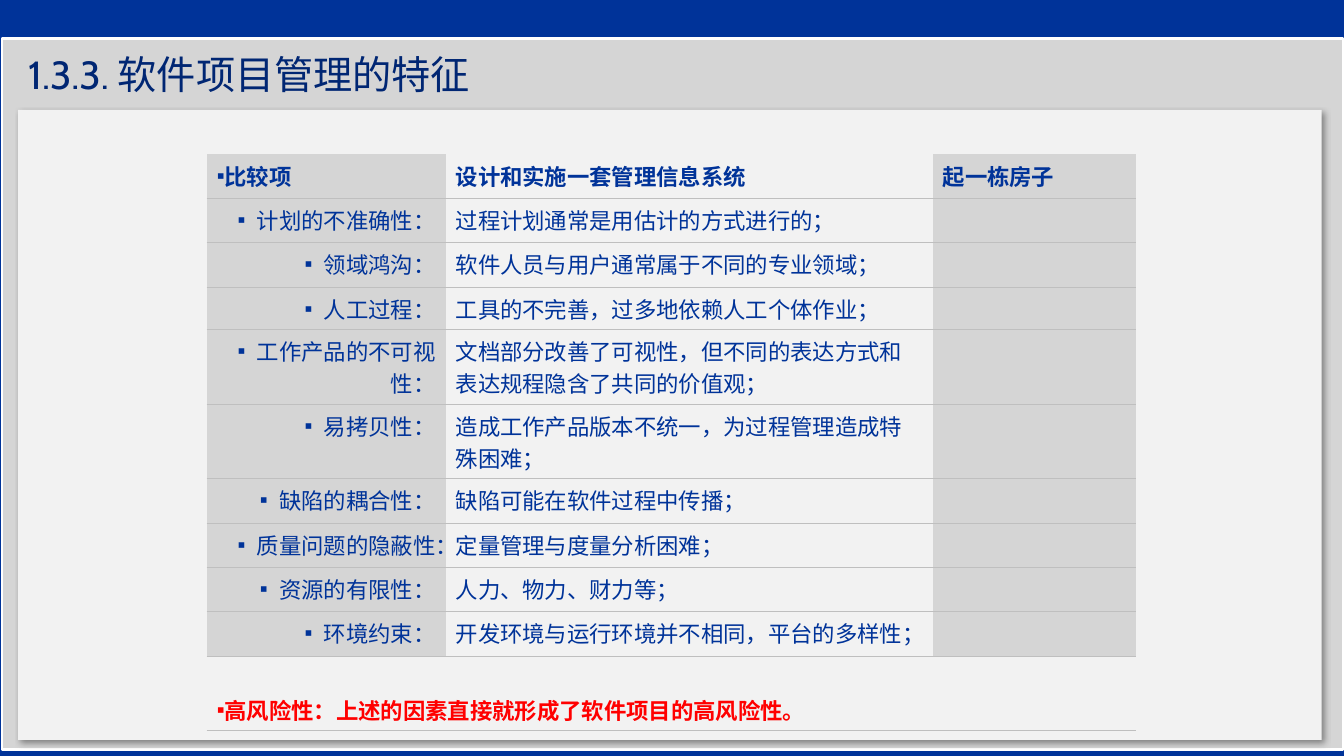
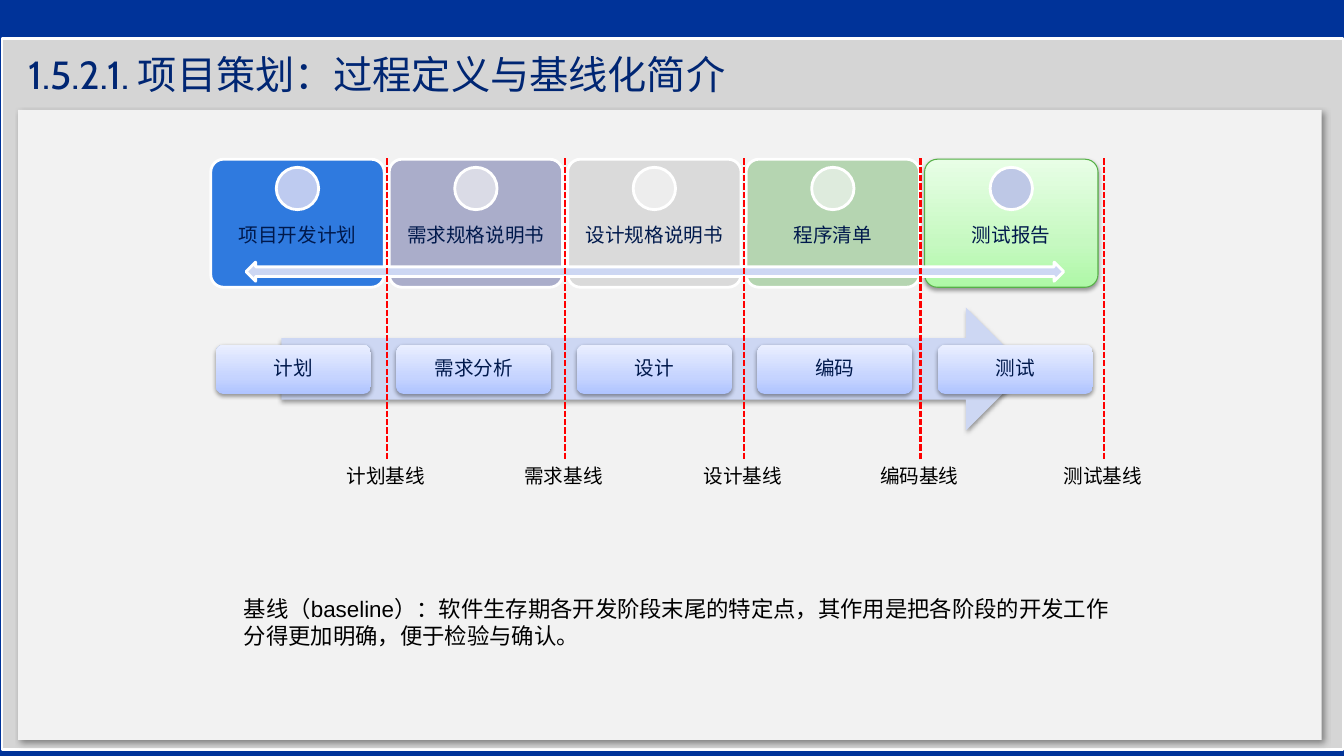
from dataclasses import dataclass
from typing import NamedTuple

from lxml.etree import SubElement
from pptx import Presentation
from pptx.dml.color import RGBColor
from pptx.enum.dml import MSO_LINE
from pptx.enum.shapes import MSO_CONNECTOR, MSO_SHAPE as Preset
from pptx.enum.text import MSO_ANCHOR as Anchor, MSO_AUTO_SIZE as AutoSize, PP_ALIGN as Align
from pptx.oxml.ns import qn
from pptx.util import Inches, Pt

BLUE, NAVY, INK = "003399", "002673", "00194C"
GREY, PANEL, RULE = "D5D5D5", "F2F2F2", "BFBFBF"
WHITE, BLACK, RED, PALE_BLUE = "FFFFFF", "000000", "FF0000", "CDD7F3"
BLUE_BLEND = ("AFC4FF", "C6D4FF", "EAEFFF")
GREEN_BLEND = ("AEF8A6", "C6F9C1", "E8FEE6")
BLEND_STOPS = (0, 35, 100)
NO_STYLE = "{2D5ABB26-0587-4C30-8999-92F81FD0307C}"

COLUMNS = (2.37, 4.83, 2.02)
ROW_HEIGHTS = (0.44, 0.44, 0.44, 0.42, 0.74, 0.74, 0.44, 0.44, 0.44, 0.44, 0.74)
HEADINGS = ("比较项", "设计和实施一套管理信息系统", "起一栋房子")
TRAITS = (
    ("计划的不准确性：", "过程计划通常是用估计的方式进行的；"),
    ("领域鸿沟：", "软件人员与用户通常属于不同的专业领域；"),
    ("人工过程：", "工具的不完善，过多地依赖人工个体作业；"),
    ("工作产品的不可视性：", "文档部分改善了可视性，但不同的表达方式和表达规程隐含了共同的价值观；"),
    ("易拷贝性：", "造成工作产品版本不统一，为过程管理造成特殊困难；"),
    ("缺陷的耦合性：", "缺陷可能在软件过程中传播；"),
    ("质量问题的隐蔽性：", "定量管理与度量分析困难；"),
    ("资源的有限性：", "人力、物力、财力等；"),
    ("环境约束：", "开发环境与运行环境并不相同，平台的多样性；"),
)
RISK = "高风险性：上述的因素直接就形成了软件项目的高风险性。"
DEFINITION = ("基线（baseline）：软件生存期各开发阶段末尾的特定点，"
              "其作用是把各阶段的开发工作分得更加明确，便于检验与确认。")


class Box(NamedTuple):
    """Left, top, width and height in inches."""
    left: float
    top: float
    width: float
    height: float

    def lengths(self) -> list:
        return [Inches(value) for value in self]


class Shadow(NamedTuple):
    """Outer shadow: opacity in percent, blur and distance in points, angle in degrees."""
    opacity: int
    blur: float
    distance: float
    angle: int


PANEL_SHADOW = Shadow(40, 4, 3, 45)
SOFT_SHADOW = Shadow(38, 3.1, 1.6, 90)


@dataclass(frozen=True)
class Look:
    """Fill, outline and shadow of a shape; a tuple fill is a gradient."""
    fill: str | tuple
    line: str | None = None
    width: float = 2
    shadow: Shadow | None = None


@dataclass(frozen=True)
class Stage:
    """One development stage with its document card and its baseline."""
    phase: str
    document: str
    card: Look
    dot: str
    baseline: str
    baseline_x: float


STAGES = (
    Stage("计划", "项目开发计划", Look("2F7ADF", WHITE), "BECBF0", "计划基线", 3.84),
    Stage("需求分析", "需求规格说明书", Look("AAADCA", WHITE), "DADBE6", "需求基线", 5.6),
    Stage("设计", "设计规格说明书", Look("DADADA", WHITE), "EDEDED", "设计基线", 7.38),
    Stage("编码", "程序清单", Look("B5D5B1", WHITE), "DEEBDD", "编码基线", 9.13),
    Stage("测试", "测试报告", Look(GREEN_BLEND, "56B047", 0.75, SOFT_SHADOW), "BEC8E6",
          "测试基线", 10.95),
)


def rgb(value: str) -> RGBColor:
    """Turn a hex string into a colour."""
    return RGBColor.from_string(value)


def add_element(parent, tag: str, **attributes):
    """Append a DrawingML child element."""
    return SubElement(parent, qn(tag), {key: str(value) for key, value in attributes.items()})


def blend(shape, colours: tuple) -> None:
    """Fill a shape with a gradient that runs from bottom to top."""
    shape.fill.gradient()
    gradient = shape.element.spPr.find(qn("a:gradFill"))
    for child in list(gradient):
        gradient.remove(child)
    stops = add_element(gradient, "a:gsLst")
    for position, colour in zip(BLEND_STOPS, colours):
        add_element(add_element(stops, "a:gs", pos=position * 1000), "a:srgbClr", val=colour)
    add_element(gradient, "a:lin", ang=270 * 60000, scaled=0)


def add_block(slide, preset: Preset, box: Box, look: Look):
    """Add a preset shape with the given look."""
    shape = slide.shapes.add_shape(preset, *box.lengths())
    if isinstance(look.fill, tuple):
        blend(shape, look.fill)
    else:
        shape.fill.solid()
        shape.fill.fore_color.rgb = rgb(look.fill)
    if look.line:
        shape.line.color.rgb = rgb(look.line)
        shape.line.width = Pt(look.width)
    else:
        shape.line.fill.background()
    shape.shadow.inherit = False
    if look.shadow:
        effects = shape.element.spPr.find(qn("a:effectLst"))
        outer = add_element(effects, "a:outerShdw", blurRad=Pt(look.shadow.blur),
                            dist=Pt(look.shadow.distance), dir=look.shadow.angle * 60000,
                            algn="tl", rotWithShape=0)
        colour = add_element(outer, "a:srgbClr", val=BLACK)
        add_element(colour, "a:alpha", val=look.shadow.opacity * 1000)
    return shape


def format_runs(paragraph, size: float, colour: str, bold: bool = False,
                name: str = "Arial") -> None:
    """Format every run of a paragraph."""
    for run in paragraph.runs:
        run.font.name, run.font.size, run.font.bold = name, Pt(size), bold
        run.font.color.rgb = rgb(colour)


def write_centred(shape, text: str, top: float = 0.06, bottom: float = 0.06) -> None:
    """Write a centred label into a shape."""
    frame = shape.text_frame
    frame.text, frame.word_wrap, frame.vertical_anchor = text, True, Anchor.MIDDLE
    frame.margin_left = frame.margin_right = Inches(0.06)
    frame.margin_top, frame.margin_bottom = Inches(top), Inches(bottom)
    paragraph = frame.paragraphs[0]
    paragraph.alignment, paragraph.line_spacing = Align.CENTER, 0.9
    format_runs(paragraph, 14, INK)


def add_text(slide, box: Box, text: str, size: float, wrap: bool) -> None:
    """Add a plain black text box."""
    frame = slide.shapes.add_textbox(*box.lengths()).text_frame
    frame.text, frame.word_wrap = text, wrap
    format_runs(frame.paragraphs[0], size, BLACK)


def prepare_layout(presentation):
    """Give the title-only layout its background and panels."""
    layout = presentation.slide_layouts.get_by_name("Title Only")
    layout.background.fill.solid()
    layout.background.fill.fore_color.rgb = rgb(BLUE)
    title, *footers = layout.placeholders
    for footer in footers:
        footer.element.getparent().remove(footer.element)
    return layout, title


def move_panels(slide, layout_title) -> None:
    """Draw the frame and content panel and place them on the layout."""
    panels = (
        (Box(0.02, 0.38, 13.3, 7.06), Look(GREY, WHITE)),
        (Box(0.18, 1.09, 12.93, 6.25), Look(PANEL, shadow=PANEL_SHADOW)),
    )
    for box, look in panels:
        panel = add_block(slide, Preset.RECTANGLE, box, look)
        layout_title.element.addprevious(panel.element)


def add_titled_slide(presentation, layout, text: str):
    """Add a slide with the shared title style."""
    slide = presentation.slides.add_slide(layout)
    title = slide.shapes.title
    title.left, title.top, title.width, title.height = Box(0.18, 0.47, 12.92, 0.53).lengths()
    frame = title.text_frame
    frame.text, frame.word_wrap = text, True
    frame.auto_size, frame.vertical_anchor = AutoSize.NONE, Anchor.MIDDLE
    frame.paragraphs[0].alignment = Align.LEFT
    format_runs(frame.paragraphs[0], 28, NAVY, name="Cabin")
    return slide


def add_bullet(paragraph, indent: float) -> None:
    """Give a paragraph a square bullet with a hanging indent."""
    properties = paragraph._p.get_or_add_pPr()
    properties.set("marL", str(Inches(indent)))
    properties.set("indent", str(-Inches(indent)))
    add_element(properties, "a:buFont", typeface="Arial")
    add_element(properties, "a:buChar", char="▪")


def style_cell(cell, fill: str | None) -> None:
    """Set a cell's bottom rule and its fill."""
    properties = cell._tc.get_or_add_tcPr()
    rule = add_element(properties, "a:lnB", w=Pt(1))
    add_element(add_element(rule, "a:solidFill"), "a:srgbClr", val=RULE)
    if fill:
        cell.fill.solid()
        cell.fill.fore_color.rgb = rgb(fill)
    else:
        cell.fill.background()


def add_comparison(slide) -> None:
    """Add the table of project traits."""
    box = Box(2.05, 1.53, sum(COLUMNS), sum(ROW_HEIGHTS))
    frame = slide.shapes.add_table(len(ROW_HEIGHTS), len(COLUMNS), *box.lengths())
    next(frame.element.iter(qn("a:tableStyleId"))).text = NO_STYLE
    table = frame.table
    table.first_row = table.horz_banding = False
    for column, width in zip(table.columns, COLUMNS):
        column.width = Inches(width)
    rows = (HEADINGS, *((*trait, "") for trait in TRAITS), (RISK, "", ""))
    last = len(rows) - 1
    for row_index, texts in enumerate(rows):
        table.rows[row_index].height = Inches(ROW_HEIGHTS[row_index])
        is_trait = 0 < row_index < last
        for column_index, text in enumerate(texts):
            cell = table.cell(row_index, column_index)
            style_cell(cell, GREY if row_index < last and column_index != 1 else None)
            cell.text = text
            paragraph = cell.text_frame.paragraphs[0]
            if text and column_index == 0:
                add_bullet(paragraph, 0.19 if is_trait else 0)
                paragraph.alignment = Align.RIGHT if is_trait else Align.LEFT
            paragraph.font.size = Pt(16)
            format_runs(paragraph, 16, RED if row_index == last else BLUE, not is_trait)
    risk_cell = table.cell(last, 0)
    risk_cell.merge(table.cell(last, len(COLUMNS) - 1))
    risk_cell.vertical_anchor = Anchor.BOTTOM


def add_baseline(slide, stage: Stage) -> None:
    """Add a dashed baseline and its label."""
    x = Inches(stage.baseline_x)
    line = slide.shapes.add_connector(MSO_CONNECTOR.STRAIGHT, x, Inches(1.57), x, Inches(4.55))
    line.line.color.rgb = rgb(RED)
    line.line.width, line.line.dash_style = Pt(1.5), MSO_LINE.SQUARE_DOT
    add_element(line.element.spPr, "a:effectLst")
    add_text(slide, Box(stage.baseline_x - 0.5, 4.55, 0.99, 0.34), stage.baseline, 14, False)


def add_stages(slide) -> None:
    """Add the phases, document cards and baselines."""
    add_block(slide, Preset.RIGHT_ARROW, Box(2.79, 3.05, 7.4, 1.22),
              Look(PALE_BLUE, shadow=SOFT_SHADOW))
    for index, stage in enumerate(STAGES):
        phase = add_block(slide, Preset.ROUNDED_RECTANGLE,
                          Box(2.14 + 1.79 * index, 3.42, 1.54, 0.49),
                          Look(BLUE_BLEND, shadow=SOFT_SHADOW))
        write_centred(phase, stage.phase)
        left = 2.09 + 1.77 * index
        card = add_block(slide, Preset.ROUNDED_RECTANGLE, Box(left, 1.58, 1.72, 1.27), stage.card)
        card.adjustments[0] = 0.1
        write_centred(card, stage.document, 0.51, 0.25)
        add_block(slide, Preset.OVAL, Box(left + 0.65, 1.66, 0.42, 0.42), Look(stage.dot, WHITE))
    add_block(slide, Preset.LEFT_RIGHT_ARROW, Box(2.44, 2.6, 8.11, 0.19), Look(PALE_BLUE, WHITE))
    add_text(slide, Box(2.32, 5.86, 8.85, 0.64), DEFINITION, 16, True)
    for stage in STAGES:
        add_baseline(slide, stage)


def main() -> None:
    """Build and save the presentation."""
    presentation = Presentation()
    presentation.slide_width, presentation.slide_height = Inches(13.33), Inches(7.5)
    layout, layout_title = prepare_layout(presentation)
    traits = add_titled_slide(presentation, layout, "1.3.3. 软件项目管理的特征")
    move_panels(traits, layout_title)
    add_comparison(traits)
    add_stages(add_titled_slide(presentation, layout, "1.5.2.1. 项目策划：过程定义与基线化简介"))
    presentation.save("out.pptx")


if __name__ == "__main__":
    main()
